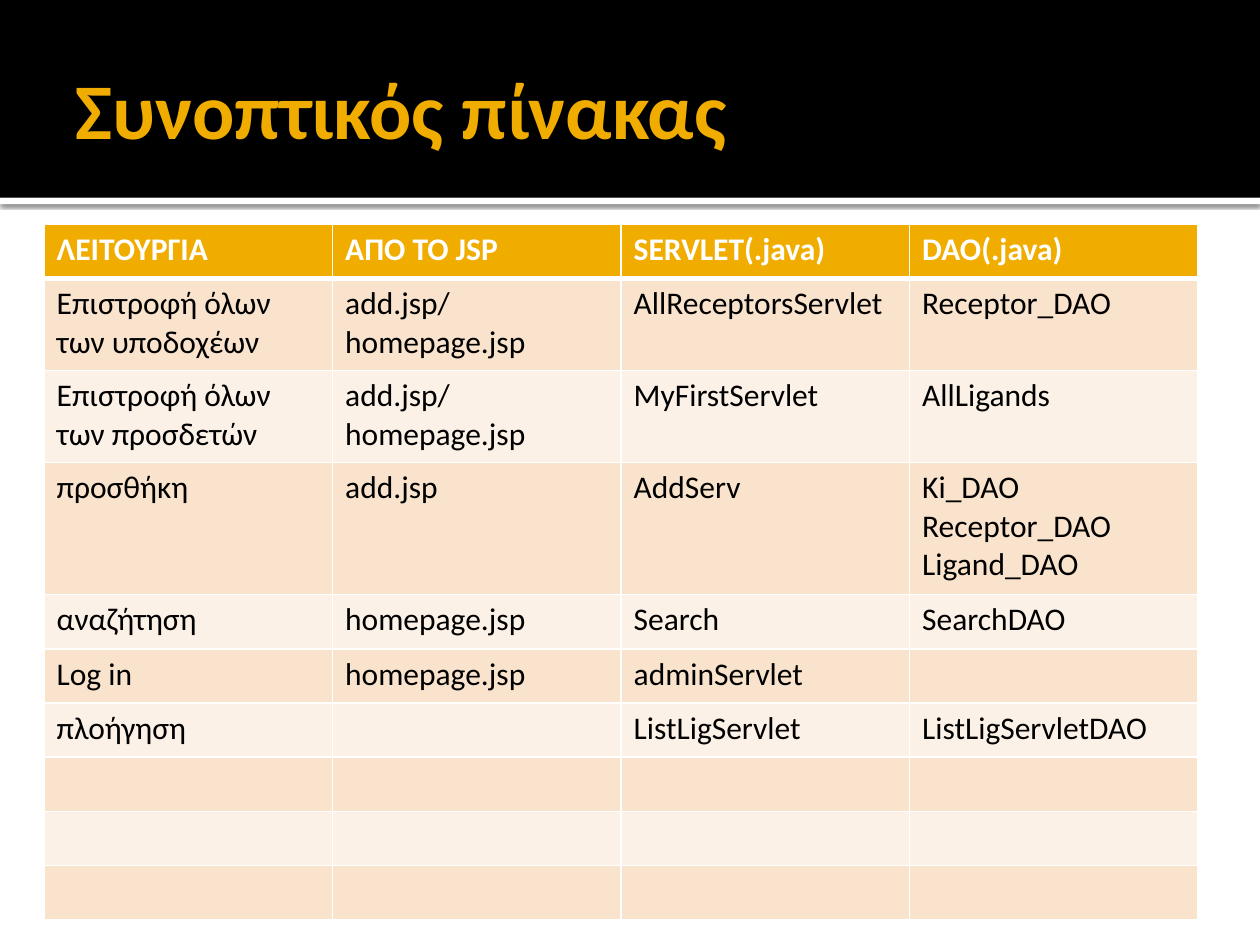
from dataclasses import dataclass

from lxml import etree
from pptx import Presentation
from pptx.dml.color import RGBColor
from pptx.enum import shapes, text
from pptx.oxml import ns
from pptx import util as u


@dataclass(frozen=True)
class Theme:
    font: str = "Calibri"
    accent: str = "F0AD00"
    black: str = "000000"
    white: str = "FFFFFF"
    bands: tuple = ("F9E3CC", "FCF1E7")
    title_size: int = 45
    table_size: int = 18
    border: int = 1
    header_border: int = 3


THEME = Theme()

# Table content; a line break separates paragraphs
ROWS = [
    ["ΛΕΙΤΟΥΡΓΙΑ", "ΑΠO ΤΟ JSP", "SERVLET(.java)", "DAO(.java)"],
    ["Επιστροφή όλων των υποδοχέων", "add.jsp/\nhomepage.jsp",
     "AllReceptorsServlet", "Receptor_DAO"],
    ["Επιστροφή όλων των προσδετών", "add.jsp/\nhomepage.jsp",
     "MyFirstServlet", "AllLigands"],
    ["προσθήκη", "add.jsp", "AddServ", "Ki_DAO\nReceptor_DAO\nLigand_DAO"],
    ["αναζήτηση", "homepage.jsp", "Search", "SearchDAO"],
    ["Log in", "homepage.jsp", "adminServlet", ""],
    ["πλοήγηση", "", "ListLigServlet", "ListLigServletDAO"],
] + [[""] * 4] * 3
ROW_HEIGHTS = [0.43, 0.73, 0.73, 1.05] + [0.43] * 6


def write_text(frame, content, *, size, color, bold=False):
    """Write one paragraph per line of content, all in the same format."""
    for index, line in enumerate(content.split("\n")):
        paragraph = frame.paragraphs[0] if index == 0 else frame.add_paragraph()
        paragraph.font.size = u.Pt(size)
        if line:
            run = paragraph.add_run()
            run.text = line
            run.font.name = THEME.font
            run.font.size = u.Pt(size)
            run.font.bold = bold
            run.font.color.rgb = RGBColor.from_string(color)


def add_xml(parent, tag, **attributes):
    values = {name: str(value) for name, value in attributes.items()}
    return etree.SubElement(parent, ns.qn(tag), values)


class SlideBuilder:
    def __init__(self, slide, theme):
        self.slide = slide
        self.theme = theme

    def bar(self, left, top, width, height, color, shadow=False):
        shape = self.slide.shapes.add_shape(
            shapes.MSO_SHAPE.RECTANGLE,
            *map(u.Inches, (left, top, width, height)))
        shape.fill.solid()
        shape.fill.fore_color.rgb = RGBColor.from_string(color)
        shape.line.fill.background()
        shape.shadow.inherit = False
        if shadow:
            effects = shape.element.spPr.find(ns.qn("a:effectLst"))
            outer = add_xml(effects, "a:outerShdw", blurRad=u.Pt(2.5),
                            dist=u.Pt(0.8), dir=90 * 60000, rotWithShape=0)
            shade = add_xml(outer, "a:srgbClr", val=self.theme.black)
            add_xml(shade, "a:alpha", val=60000)

    def title(self, left, top, width, height, content):
        box = self.slide.shapes.add_textbox(
            *map(u.Inches, (left, top, width, height)))
        frame = box.text_frame
        frame.word_wrap = True
        frame.vertical_anchor = text.MSO_ANCHOR.MIDDLE
        frame.margin_left = u.Inches(0.1)
        frame.margin_right = u.Inches(0.05)
        write_text(frame, content, size=self.theme.title_size,
                   color=self.theme.accent, bold=True)

    def table(self, left, top, width, rows, heights):
        columns = len(rows[0])
        table = self.slide.shapes.add_table(
            len(rows), columns,
            *map(u.Inches, (left, top, width, sum(heights)))).table
        for column in table.columns:
            column.width = u.Inches(width / columns)
        for row_index, (values, height) in enumerate(zip(rows, heights)):
            table.rows[row_index].height = u.Inches(height)
            for column_index, value in enumerate(values):
                self.cell(table.cell(row_index, column_index), value, row_index)

    def cell(self, cell, content, row_index):
        theme = self.theme
        header = row_index == 0
        write_text(cell.text_frame, content, size=theme.table_size, bold=header,
                   color=theme.white if header else theme.black)
        # Borders come before the fill in the cell properties
        top = theme.header_border if row_index == 1 else theme.border
        bottom = theme.header_border if header else theme.border
        sides = {"L": theme.border, "R": theme.border, "T": top, "B": bottom}
        properties = cell._tc.get_or_add_tcPr()
        for side, width in sides.items():
            line = add_xml(properties, f"a:ln{side}", w=u.Pt(width))
            add_xml(add_xml(line, "a:solidFill"), "a:srgbClr", val=theme.white)
        fill = theme.accent if header else theme.bands[(row_index - 1) % 2]
        cell.fill.solid()
        cell.fill.fore_color.rgb = RGBColor.from_string(fill)


def main():
    presentation = Presentation()
    presentation.slide_width = u.Inches(10)
    presentation.slide_height = u.Inches(7.5)
    slide = presentation.slides.add_slide(presentation.slide_layouts[6])
    builder = SlideBuilder(slide, THEME)

    # Title band with a shadowed white rule below it
    builder.bar(0, 1.57, 10, 0.05, THEME.white, shadow=True)
    builder.bar(0, 0, 10, 1.57, THEME.black)
    builder.title(0.5, 0.17, 9, 1.37, "Συνοπτικός πίνακας")

    # Summary table
    builder.table(0.35, 1.78, 9.16, ROWS, ROW_HEIGHTS)

    presentation.save("out.pptx")


if __name__ == "__main__":
    main()
